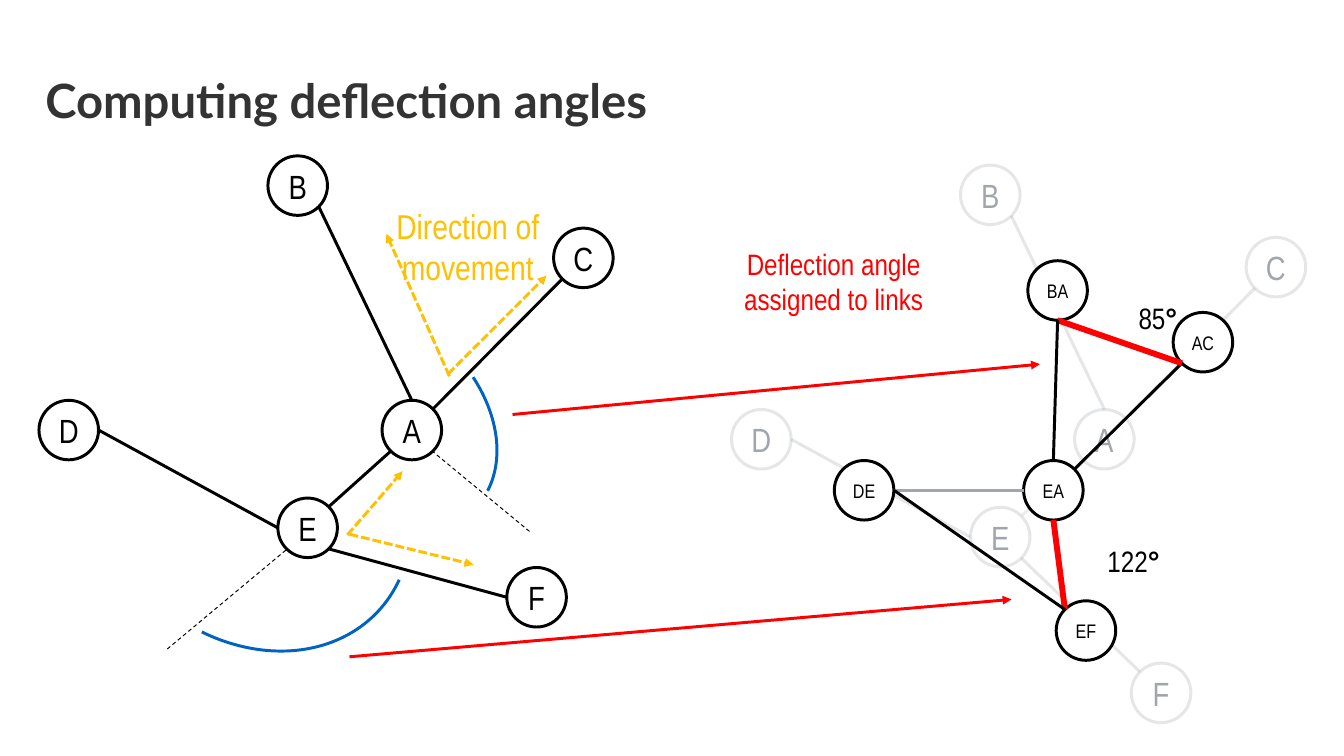
from math import cos, radians, sin

from lxml.etree import SubElement
from pptx import Presentation
from pptx.dml.color import RGBColor
from pptx.enum.dml import MSO_LINE as DASH
from pptx.enum.shapes import MSO_CONNECTOR as LINK, MSO_SHAPE as SHAPE
from pptx.enum.text import MSO_ANCHOR as ANCHOR, PP_ALIGN as ALIGN
from pptx.oxml.ns import qn
from pptx.util import Inches, Pt

COLS, ROWS = 189.6, 106.7
DIAMETER = 8.4
COMPASS = ["e", "se", "s", "sw", "w", "nw", "n", "ne"]
BLACK, WHITE, GREY, RED = "000000", "FFFFFF", "A1A6AC", "FF0000"
AMBER, BLUE, INK = "FFC000", "0063BF", "333333"


def cells(n):
    return Inches(n / 10)


def rgb(value):
    return RGBColor.from_string(value)


class Sketch:
    """Draws network diagrams on a grid of tenth-inch cells."""

    def __init__(self, prs):
        prs.slide_width, prs.slide_height = cells(COLS), cells(ROWS)
        self.s = prs.slides.add_slide(prs.slide_layouts[6])
        self.font = "Arial Narrow"

    def stroke(self, sp, color, width=3, dash=None, alpha=None):
        sp.line.color.rgb = rgb(color)
        sp.line.width = Pt(width)
        if dash:
            sp.line.dash_style = dash
        if alpha:
            for clr in sp._element.spPr.iter(qn("a:srgbClr")):
                SubElement(clr, qn("a:alpha"), val=str(alpha * 1000))

    def run(self, p, text, color, size, **fmt):
        r = p.add_run()
        r.text = text
        r.font.color.rgb = rgb(color)
        for name, value in {"name": self.font, "size": Pt(size), **fmt}.items():
            setattr(r.font, name, value)

    def line(self, start, end, color=BLACK, width=3, dash=None, alpha=None, arrow=False):
        sp = self.s.shapes.add_connector(LINK.STRAIGHT, *map(cells, (*start, *end)))
        self.stroke(sp, color, width, dash, alpha)
        if arrow:
            SubElement(sp.line._ln, qn("a:tailEnd"), type="triangle")
        SubElement(sp._element.spPr, qn("a:effectLst"))

    def shape(self, kind, x, y, w, h, fill=None):
        sp = self.s.shapes.add_shape(kind, *map(cells, (x, y, w, h)))
        sp.shadow.inherit = False
        if fill:
            sp.fill.solid()
            sp.fill.fore_color.rgb = rgb(fill)
        else:
            sp.fill.background()
        return sp

    def node(self, label, x, y, size, color=BLACK, fill=WHITE, alpha=None):
        sp = self.shape(SHAPE.FLOWCHART_CONNECTOR, x, y, DIAMETER, DIAMETER, fill)
        self.stroke(sp, color, alpha=alpha)
        tf = sp.text_frame
        frame = dict.fromkeys(("margin_left", "margin_right", "margin_top", "margin_bottom"), 0)
        for name, value in {**frame, "word_wrap": False, "vertical_anchor": ANCHOR.MIDDLE}.items():
            setattr(tf, name, value)
        p = tf.paragraphs[0]
        p.alignment = ALIGN.CENTER
        self.run(p, label, color, size)

    def arc(self, x, y, w, h, angles, flip=False):
        sp = self.shape(SHAPE.ARC, x, y, w, h)
        self.stroke(sp, BLUE)
        sp.rotation = 132.9
        for i, angle in enumerate(angles):
            sp.adjustments[i] = angle
        if flip:
            sp._element.spPr.xfrm.set("flipH", "1")

    def text(self, x, y, w, h, runs, color, size, align=ALIGN.CENTER, anchor=ANCHOR.TOP):
        tf = self.s.shapes.add_textbox(*map(cells, (x, y, w, h))).text_frame
        tf.word_wrap = True
        tf.vertical_anchor = anchor
        p = tf.paragraphs[0]
        p.alignment = align
        for text, fmt in runs:
            self.run(p, text, color, size, **fmt)

    def edge(self, nodes, route, **style):
        a, a_side, b, b_side = route.split()
        self.line(site(nodes[a], a_side), site(nodes[b], b_side), **style)


def site(corner, side):
    turn = radians(45 * COMPASS.index(side))
    r = DIAMETER / 2
    return corner[0] + r + r * cos(turn), corner[1] + r + r * sin(turn)


def main():
    prs = Presentation()
    d = Sketch(prs)

    streets = {"A": (53.9, 56.5), "E": (39.2, 70.3), "D": (5.5, 56.5),
               "B": (37.8, 22), "C": (78.1, 32.2), "F": (71.5, 80.1)}
    ghosts = {k: (x + 97.7, y + 1.3) for k, (x, y) in streets.items()}
    ghosts["F"] = (159.6, 93.6)
    links = {"EA": (144.4, 65), "EF": (149, 84.8), "DE": (117.7, 65),
             "BA": (145, 36.8), "AC": (165.5, 44.1)}
    roads = ["A ne C sw", "A n B se", "E w D e", "E ne A sw"]

    faded = {"color": GREY, "alpha": 28}
    for label, corner in ghosts.items():
        d.node(label, *corner, 34.1, fill=WHITE if label == "F" else None, **faded)
    for route in roads + ["F nw E se"]:
        d.edge(ghosts, route, **faded)
    d.edge(ghosts, "A sw E ne", color=WHITE, alpha=28)

    for label, corner in links.items():
        d.node(label, *corner, 19.9)
    for route, color, width in [
        ("AC sw EA ne", BLACK, 3), ("DE e EA w", GREY, 3),
        ("EF nw EA s", RED, 6), ("BA s AC sw", RED, 6),
        ("BA s EA n", BLACK, 3), ("DE e EF nw", BLACK, 3),
    ]:
        d.edge(links, route, color=color, width=width)

    d.text(101.9, 34.2, 31.4, 11.1, [("Deflection angle assigned to links", {})], RED, 30)
    for x, y, w, angle in [(157.5, 41.9, 11.7, "85"), (153.8, 76.2, 12.2, "122")]:
        d.text(x, y, w, 6.1, [(angle, {}), ("°", {"bold": True})], BLACK, 30)

    for label, corner in streets.items():
        d.node(label, *corner, 34.1)
    for route in roads + ["F w E se"]:
        d.edge(streets, route)
    for start, end in [((23.6, 91.6), (40.5, 77.5)), ((74.7, 75), (61, 63.7))]:
        d.line(start, end, width=1, dash=DASH.DASH)
    d.arc(14.8, 44.5, 40.7, 49.7, (154.59, 201.43))
    d.arc(39.7, 40.1, 27.6, 37.4, (167.12, 201.43), flip=True)

    for start, end in [((49, 75.5), (56.8, 66.5)), ((49.3, 75.4), (66.8, 79.7)),
                       ((63.4, 53.1), (54.5, 33)), ((63.2, 52.8), (77.1, 38.9))]:
        d.line(start, end, AMBER, dash=DASH.SQUARE_DOT, arrow=True)
    d.text(50.3, 28.4, 31.4, 12.8, [("Direction of movement", {})], AMBER, 35)
    d.text(5.4, 9.5, 178.8, 9.1,
           [("Computing deflection angles", {"name": "Lato", "bold": True})],
           INK, 48, ALIGN.LEFT, ANCHOR.MIDDLE)
    for start, end in [((72.3, 58.5), (146.7, 51.4)), ((49.3, 92.7), (142.7, 84.6))]:
        d.line(start, end, RED, arrow=True)

    prs.save("out.pptx")


if __name__ == "__main__":
    main()
